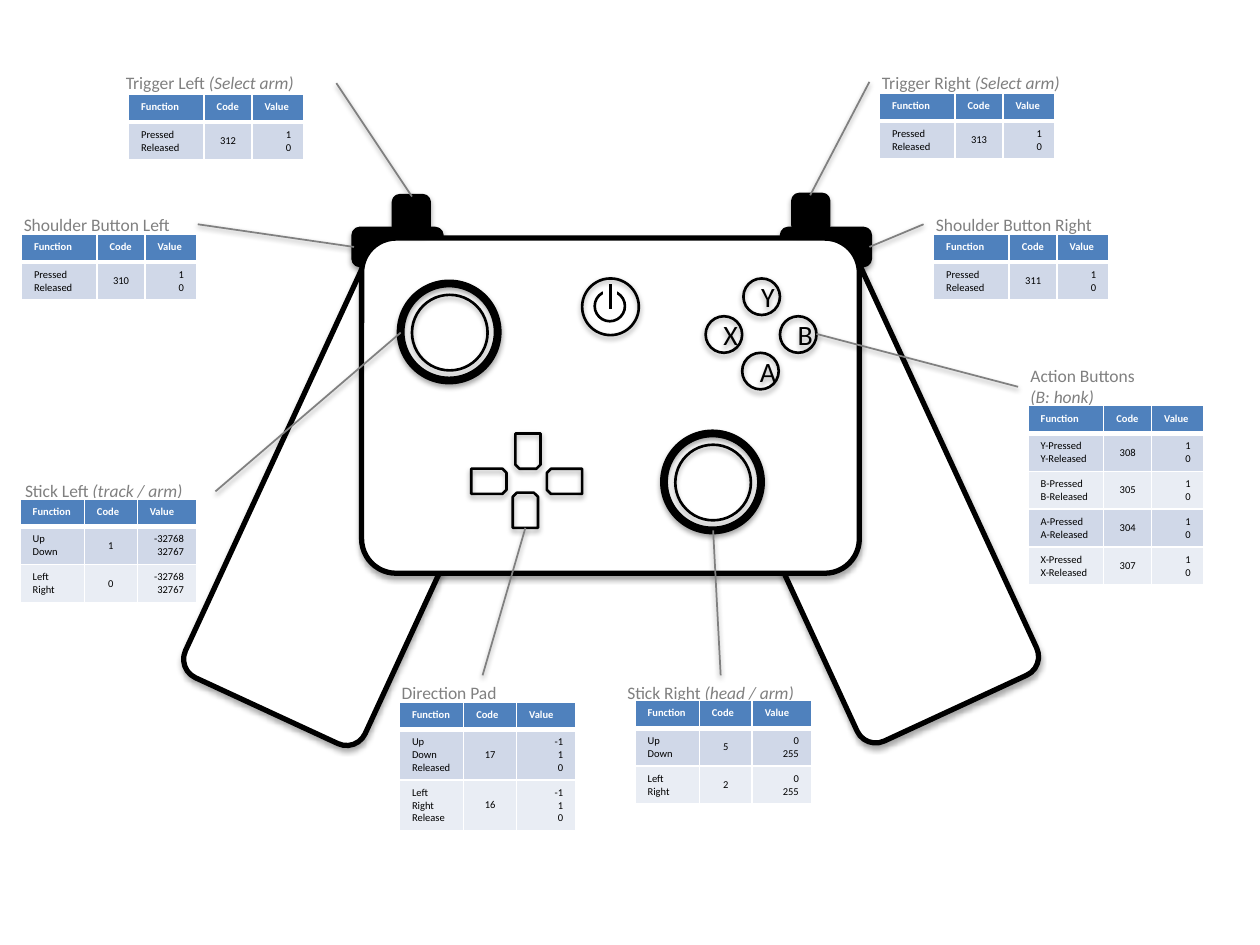
from lxml.etree import SubElement
from pptx import Presentation
from pptx.dml.color import RGBColor
from pptx.enum.shapes import MSO_CONNECTOR, MSO_SHAPE
from pptx.enum.text import MSO_ANCHOR, MSO_AUTO_SIZE, PP_ALIGN
from pptx.oxml.ns import qn
from pptx.util import Inches, Pt

FONT = "Calibri"
BLACK, WHITE, GREY = "000000", "FFFFFF", "808080"
HEADER_FILL, BANDS = "4F81BD", ("D0D8E8", "E9EDF4")
HEADER = ("Function", "Code", "Value")
WIDE_NAMES, WIDE_VALUES = (0.6, 0.38, 0.41), (0.51, 0.42, 0.47)
ROUND, OVAL, SNIP = (MSO_SHAPE.ROUNDED_RECTANGLE, MSO_SHAPE.OVAL,
                     MSO_SHAPE.SNIP_2_SAME_RECTANGLE)

# Labels: left, top, width, height, then (plain, italic) for each line
LABELS = [
    (0.9, 0.52, 1.77, 0.27, [("Trigger Left ", "(Select arm)")]),
    (6.9, 0.52, 1.65, 0.27, [("Trigger Right ", "(Select arm)")]),
    (0.09, 1.65, 1.48, 0.27, [("Shoulder Button Left", "")]),
    (7.33, 1.65, 1.46, 0.27, [("Shoulder Button Right", "")]),
    (0.1, 3.76, 1.61, 0.27, [("Stick Left ", "(track / arm)")]),
    (4.88, 5.36, 1.69, 0.27, [("Stick Right ", "(head / arm)")]),
    (3.09, 5.36, 1.47, 0.27, [("Direction Pad", "")]),
    (8.08, 2.85, 1.05, 0.44, [("Action Buttons", ""), ("", "(B: honk)")]),
]

# Leader lines: start x, y, end x, y
LEADERS = [
    (6.9, 1.96, 7.33, 1.78), (6.43, 1.55, 6.9, 0.65),
    (1.57, 1.78, 2.81, 1.96), (2.67, 0.66, 3.27, 1.56),
    (5.72, 5.36, 5.66, 4.21), (1.71, 3.9, 3.18, 2.64),
    (8.08, 3.07, 6.48, 2.65), (3.83, 5.36, 4.17, 4.19),
]


def press_rows(code):
    return [("Pressed\nReleased", code, "1\n0")]


# Tables: left, top, column widths, body rows
TABLES = [
    (0.16, 3.96, WIDE_VALUES, [("Up\nDown", "1", "-32768\n32767"),
                               ("Left\nRight", "0", "-32768\n32767")]),
    (5.04, 5.56, WIDE_VALUES, [("Up\nDown", "5", "0\n255"),
                               ("Left\nRight", "2", "0\n255")]),
    (3.17, 5.57, WIDE_VALUES, [("Up\nDown\nReleased", "17", "-1\n1\n0"),
                               ("Left\nRight\nRelease", "16", "-1\n1\n0")]),
    (8.16, 3.22, WIDE_NAMES,
     [(f"{key}-Pressed\n{key}-Released", code, "1\n0") for key, code in
      (("Y", "308"), ("B", "305"), ("A", "304"), ("X", "307"))]),
    (7.41, 1.86, WIDE_NAMES, press_rows("311")),
    (6.98, 0.74, WIDE_NAMES, press_rows("313")),
    (1.02, 0.75, WIDE_NAMES, press_rows("312")),
    (0.17, 1.86, WIDE_NAMES, press_rows("310")),
]

deck = Presentation()
deck.slide_width, deck.slide_height = Inches(10), Inches(7.5)
page = deck.slides.add_slide(deck.slide_layouts[6])


def color(value):
    return RGBColor.from_string(value)


def set_font(font, size, value, bold=False):
    font.name, font.size, font.bold = FONT, Pt(size), bold
    font.color.rgb = color(value)


def set_shadow(part, opacity, distance):
    effects = SubElement(part._element.spPr, qn("a:effectLst"))
    if opacity:
        outer = SubElement(effects, qn("a:outerShdw"), blurRad=str(Pt(3.1)),
                           dist=str(Pt(distance)), dir="5400000",
                           rotWithShape="0")
        black = SubElement(outer, qn("a:srgbClr"), val=BLACK)
        SubElement(black, qn("a:alpha"), val=str(opacity * 1000))


def add_part(kind, left, top, width, height, fill=None, line=BLACK, weight=1.5,
             turn=0, corner=None, opacity=35):
    part = page.shapes.add_shape(kind, Inches(left), Inches(top),
                                 Inches(width), Inches(height))
    part.rotation = turn
    if corner:
        part.adjustments[0] = corner
    if fill:
        part.fill.solid()
        part.fill.fore_color.rgb = color(fill)
    else:
        part.fill.background()
    part.line.color.rgb = color(line)
    part.line.width = Pt(weight)
    set_shadow(part, opacity, 1.8)
    return part


def set_borders(cell, bottom):
    properties = cell._tc.get_or_add_tcPr()
    for side, weight in (("L", 1), ("R", 1), ("T", 1), ("B", bottom)):
        line = SubElement(properties, qn(f"a:ln{side}"), w=str(Pt(weight)))
        SubElement(SubElement(line, qn("a:solidFill")), qn("a:srgbClr"), val=WHITE)


def add_code_table(left, top, widths, body):
    rows = [HEADER] + body
    heights = [0.22] + [0.1 + 0.1 * len(row[0].split("\n")) for row in body]
    table = page.shapes.add_table(len(rows), 3, Inches(left), Inches(top),
                                  Inches(sum(widths)), Inches(sum(heights))).table
    for column, width in zip(table.columns, widths):
        column.width = Inches(width)
    for r, row in enumerate(rows):
        table.rows[r].height = Inches(heights[r])
        for c, text in enumerate(row):
            cell = table.cell(r, c)
            cell.text = text
            set_borders(cell, 1 if r else 3)
            cell.fill.solid()
            cell.fill.fore_color.rgb = color(BANDS[(r - 1) % 2] if r else HEADER_FILL)
            if r and c == 1:
                cell.vertical_anchor = MSO_ANCHOR.MIDDLE
            for para in cell.text_frame.paragraphs:
                set_font(para.font, 6, BLACK if r else WHITE, bold=not r)
                if r:
                    para.alignment = (PP_ALIGN.LEFT, PP_ALIGN.CENTER, PP_ALIGN.RIGHT)[c]


# Shoulder buttons, grips and body
for left in (6.21, 2.81):
    add_part(ROUND, left, 1.82, 0.69, 0.28, fill=BLACK, weight=3)
for left, top, width, height, turn in ((1.02, 3.14, 3.78, 1.57, 294.8),
                                       (4.9, 3.12, 3.78, 1.57, 65.2),
                                       (2.87, 1.89, 3.95, 2.66, 0)):
    add_part(ROUND, left, top, width, height, fill=WHITE, weight=3,
             turn=turn, corner=0.103)

# Action buttons
for letter, left, top in (("Y", 5.9, 2.21), ("A", 5.89, 2.8),
                          ("X", 5.6, 2.51), ("B", 6.19, 2.51)):
    button = add_part(OVAL, left, top, 0.29, 0.29)
    para = button.text_frame.paragraphs[0]
    para.text, para.alignment = letter, PP_ALIGN.CENTER
    set_font(para.font, 16, BLACK)

# Power button
add_part(OVAL, 4.72, 2.31, 0.24, 0.24, opacity=0)
add_part(MSO_SHAPE.RECTANGLE, 4.81, 2.23, 0.07, 0.24, fill=BLACK, line=WHITE,
         weight=3, opacity=0)
add_part(OVAL, 4.62, 2.21, 0.45, 0.45)

# Triggers
for left, top in ((3.13, 1.56), (6.3, 1.55)):
    add_part(ROUND, left, top, 0.27, 0.28, fill=BLACK, weight=3)

# Direction pad
for left, top, turn in ((4.09, 3.44, 180), (3.78, 3.68, 90),
                        (4.38, 3.68, 270), (4.07, 3.91, 0)):
    add_part(SNIP, left, top, 0.2, 0.28, turn=turn)

# Sticks
for left, top in ((5.27, 3.44), (3.18, 2.25)):
    add_part(OVAL, left, top, 0.77, 0.77, weight=4.5)
    add_part(OVAL, left + 0.09, top + 0.09, 0.6, 0.6)

# Leader lines
for leader in LEADERS:
    line = page.shapes.add_connector(MSO_CONNECTOR.STRAIGHT, *map(Inches, leader))
    line.line.color.rgb = color(GREY)
    line.line.width = Pt(1)
    set_shadow(line, 38, 1.6)

# Labels
for left, top, width, height, lines in LABELS:
    box = page.shapes.add_textbox(Inches(left), Inches(top), Inches(width), Inches(height))
    frame = box.text_frame
    frame.word_wrap = True
    frame.auto_size = MSO_AUTO_SIZE.SHAPE_TO_FIT_TEXT
    for number, parts in enumerate(lines):
        para = frame.add_paragraph() if number else frame.paragraphs[0]
        set_font(para.font, 10, GREY)
        for text, italic in zip(parts, (False, True)):
            if text:
                span = para.add_run()
                span.text, span.font.italic = text, italic

# Code tables
for entry in TABLES:
    add_code_table(*entry)

deck.save("out.pptx")
